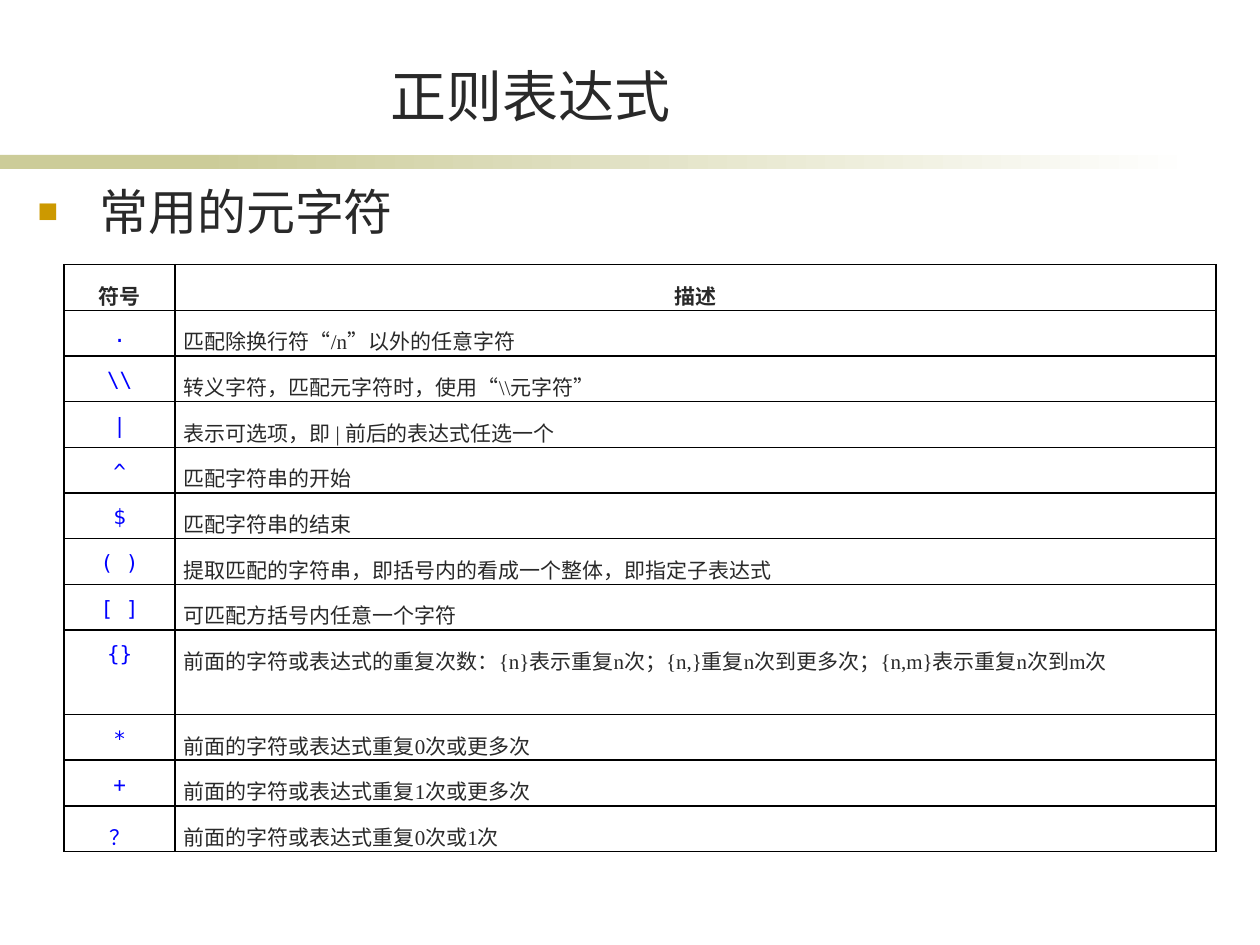
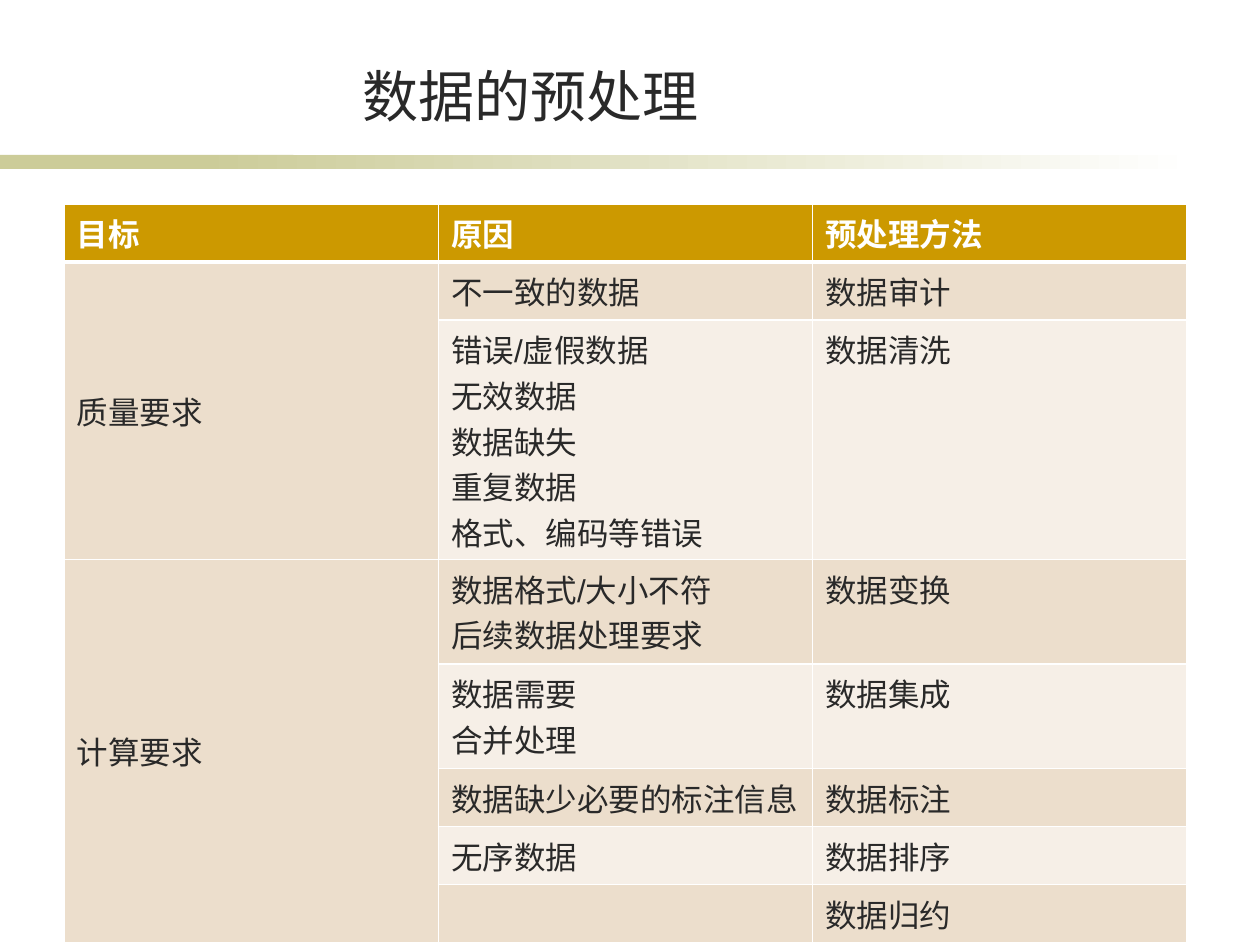
from pptx import Presentation
from pptx.dml.color import RGBColor
from pptx.enum.shapes import MSO_SHAPE as Shape
from pptx.enum.text import MSO_ANCHOR as Anchor, PP_ALIGN as Align
from pptx.oxml.ns import qn
from pptx.util import Inches, Pt
from lxml.etree import SubElement

INK = "292929"
GOLD = "CC9900"
OLIVE = "CCCC99"
WHITE = "FFFFFF"
BLACK = "000000"
BLUE = "0000FF"
BAND_FILLS = ["ECDECC", "F6EFE7"]
SANS = "Arial"
SERIF = "Times New Roman"
MONO = "DejaVu Sans Mono"

METACHARACTERS = [
    (".", "匹配除换行符“/n”以外的任意字符"),
    ("\\\\", "转义字符，匹配元字符时，使用“\\\\元字符”"),
    ("|", "表示可选项，即 | 前后的表达式任选一个"),
    ("^", "匹配字符串的开始"),
    ("$", "匹配字符串的结束"),
    ("( )", "提取匹配的字符串，即括号内的看成一个整体，即指定子表达式"),
    ("[ ]", "可匹配方括号内任意一个字符"),
    ("{}", "前面的字符或表达式的重复次数：{n}表示重复n次；{n,}重复n次到更多次；{n,m}表示重复n次到m次"),
    ("*", "前面的字符或表达式重复0次或更多次"),
    ("+", "前面的字符或表达式重复1次或更多次"),
    ("？", "前面的字符或表达式重复0次或1次"),
]

GOALS = [
    ("质量要求", [
        ("不一致的数据", "数据审计"),
        ("错误/虚假数据\n无效数据\n数据缺失\n重复数据\n格式、编码等错误", "数据清洗"),
    ]),
    ("计算要求", [
        ("数据格式/大小不符\n后续数据处理要求", "数据变换"),
        ("数据需要\n合并处理", "数据集成"),
        ("数据缺少必要的标注信息", "数据标注"),
        ("无序数据", "数据排序"),
        ("", "数据归约"),
    ]),
]


def color(value):
    return RGBColor.from_string(value)


class Deck:
    def __init__(self):
        self.deck = Presentation()
        self.deck.slide_width = Inches(10)
        self.deck.slide_height = Inches(7.5)
        self.page = None

    def add_page(self, title):
        self.page = self.deck.slides.add_slide(self.deck.slide_layouts[6])
        start = self.band(0, 2.33)
        start.solid()
        start.fore_color.rgb = color(OLIVE)
        fade = self.band(1.58, 7.92)
        fade.gradient()
        fade.gradient_angle = 0
        for stop, shade, position in zip(fade.gradient_stops, (OLIVE, WHITE), (0, 1)):
            stop.color.rgb = color(shade)
            stop.position = position
        self.text(title, 1.14, 0.44, 6.14, 0.63, 32, Align.CENTER, Anchor.BOTTOM)

    def band(self, left, width):
        shape = self.page.shapes.add_shape(
            Shape.RECTANGLE, Inches(left), Inches(1.23), Inches(width), Inches(0.11))
        shape.shadow.inherit = False
        shape.line.fill.background()
        return shape.fill

    def style(self, para, size, face=SANS, shade=INK, bold=False, align=Align.LEFT):
        para.alignment = align
        para.font.size = Pt(size)
        para.font.name = face
        para.font.bold = bold
        para.font.color.rgb = color(shade)

    def text(self, words, left, top, width, height, size, align=Align.LEFT, anchor=Anchor.TOP):
        box = self.page.shapes.add_textbox(
            Inches(left), Inches(top), Inches(width), Inches(height))
        frame = box.text_frame
        frame.word_wrap = True
        frame.vertical_anchor = anchor
        para = frame.paragraphs[0]
        para.text = words
        self.style(para, size, align=align)
        return para

    def bullet(self, words, left, top, width, height):
        para = self.text(words, left, top, width, height, 28)
        para.space_before = Pt(6)
        props = para._p.get_or_add_pPr()
        props.set("marL", str(Inches(0.49)))
        props.set("indent", str(-Inches(0.49)))
        tint, scale, face, mark = [
            SubElement(props, qn(f"a:{tag}")) for tag in ("buClr", "buSzPct", "buFont", "buChar")]
        SubElement(tint, qn("a:srgbClr")).set("val", GOLD)
        scale.set("val", "70000")
        face.set("typeface", SANS)
        mark.set("char", "■")
        props.append(props.find(qn("a:defRPr")))

    def table(self, left, top, widths, heights):
        frame = self.page.shapes.add_table(
            len(heights), len(widths), Inches(left), Inches(top),
            Inches(sum(widths)), Inches(sum(heights)))
        table = frame.table
        table.first_row = table.horz_banding = False
        for column, width in zip(table.columns, widths):
            column.width = Inches(width)
        for row, height in zip(table.rows, heights):
            row.height = Inches(height)
        return table

    def borders(self, cell, shade, top=1, bottom=1):
        props = cell._tc.get_or_add_tcPr()
        sides = {"lnL": 1, "lnR": 1, "lnT": top, "lnB": bottom}
        for index, (side, weight) in enumerate(sides.items()):
            line = SubElement(props, qn(f"a:{side}"))
            line.set("w", str(Pt(weight)))
            paint = SubElement(line, qn("a:solidFill"))
            SubElement(paint, qn("a:srgbClr")).set("val", shade)
            props.insert(index, line)

    def cell(self, cell, words, size, margins, spacing=1, fill=None, **look):
        cell.margin_left = cell.margin_right = Inches(margins[0])
        cell.margin_top = cell.margin_bottom = Inches(margins[1])
        cell.text = words
        for para in cell.text_frame.paragraphs:
            self.style(para, size, **look)
            para.line_spacing = spacing
        if fill:
            cell.fill.solid()
            cell.fill.fore_color.rgb = color(fill)
        else:
            cell.fill.background()


def add_metacharacters(deck):
    deck.add_page("正则表达式")
    deck.bullet("常用的元字符", 0.2, 1.39, 9.22, 0.65)
    single = 3.99 / len(METACHARACTERS)
    heights = [0.67 if symbol == "{}" else single for symbol, _ in METACHARACTERS]
    table = deck.table(0.51, 2.1, [0.88, 8.26], [single] + heights)
    heading = dict(face=SERIF, bold=True, align=Align.CENTER)
    symbol_look = dict(face=MONO, shade=BLUE, align=Align.CENTER)
    meaning_look = dict(face=SERIF, align=Align.JUSTIFY)
    for row, words in enumerate([("符号", "描述")] + METACHARACTERS):
        looks = (symbol_look, meaning_look) if row else (heading, heading)
        for column, look in enumerate(looks):
            cell = table.cell(row, column)
            deck.cell(cell, words[column], 12, (0.07, 0), 1.5, **look)
            deck.borders(cell, BLACK)


def add_preprocessing(deck):
    deck.add_page("数据的预处理")
    heights = [0.46, 0.46, 1.9, 0.83, 0.83, 0.46, 0.46, 0.46]
    table = deck.table(0.51, 1.62, [2.97] * 3, heights)
    margins = (0.1, 0.05)
    for column, words in enumerate(("目标", "原因", "预处理方法")):
        deck.cell(table.cell(0, column), words, 18, margins, fill=GOLD, shade=WHITE, bold=True)
    row = 1
    for goal, steps in GOALS:
        first = table.cell(row, 0)
        first.merge(table.cell(row + len(steps) - 1, 0))
        deck.cell(first, goal, 18, margins, fill=BAND_FILLS[0])
        first.vertical_anchor = Anchor.MIDDLE
        for step in steps:
            for column, words in enumerate(step, 1):
                deck.cell(table.cell(row, column), words, 18, margins,
                          fill=BAND_FILLS[(row - 1) % 2])
            row += 1
    for row in range(len(heights)):
        for column in range(3):
            deck.borders(table.cell(row, column), WHITE,
                         top=3 if row == 1 else 1, bottom=1 if row else 3)


def main():
    deck = Deck()
    add_metacharacters(deck)
    add_preprocessing(deck)
    deck.deck.save("out.pptx")


if __name__ == "__main__":
    main()
